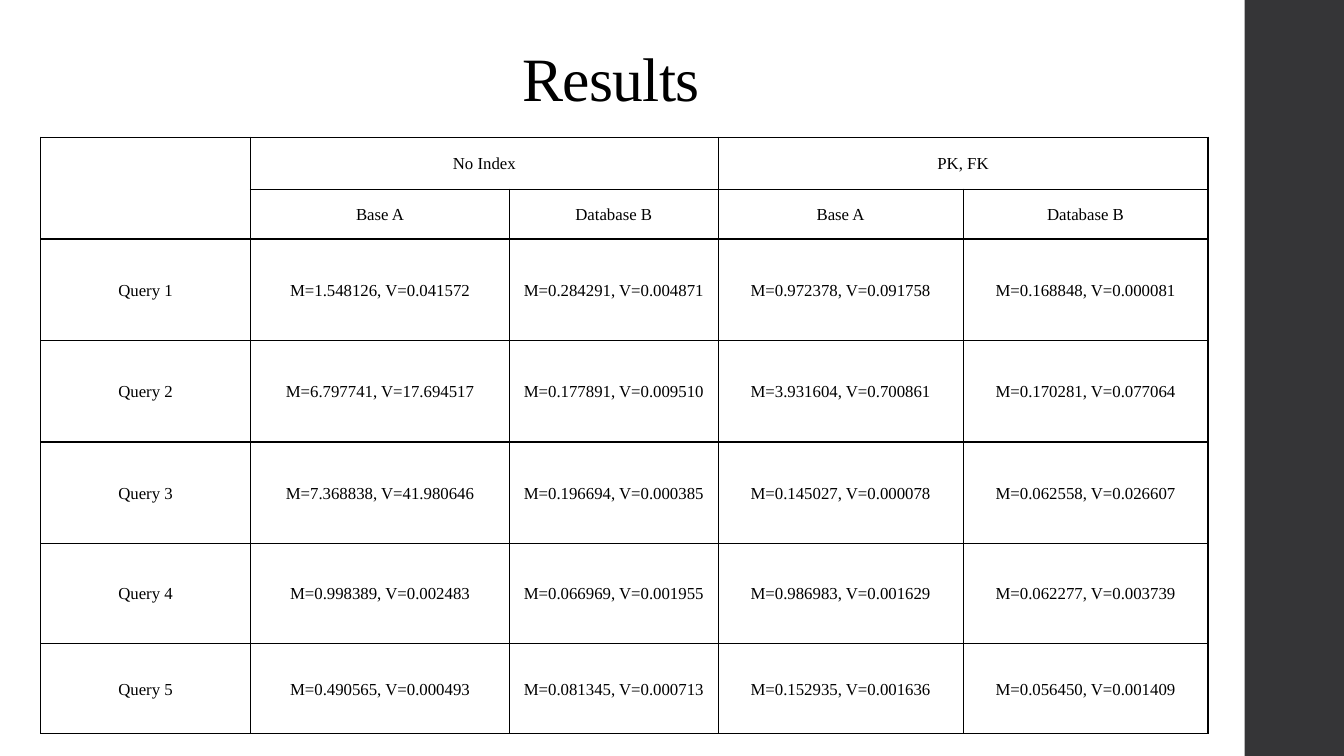
import pptx
import pptx.util
import pptx.dml.color
import pptx.enum.shapes
import pptx.enum.text
import pptx.oxml
import pptx.oxml.ns

Pt = pptx.util.Pt
RGBColor = pptx.dml.color.RGBColor
CENTER = pptx.enum.text.PP_ALIGN.CENTER
MIDDLE = pptx.enum.text.MSO_ANCHOR.MIDDLE

BLACK = RGBColor(0x00, 0x00, 0x00)
WHITE = RGBColor(0xFF, 0xFF, 0xFF)
DARK = RGBColor(0x35, 0x35, 0x37)
FONT = "Times New Roman"

WIDTHS = [150, 185, 149, 175, 175]
HEIGHTS = [37.2, 35.6, 72.5, 72.5, 72.5, 71.6, 64.4]
ROWS = [
    ["", "No Index", "", "PK, FK", ""],
    ["", "Base A", "Database B", "Base A", "Database B"],
    ["Query 1", "M=1.548126, V=0.041572", "M=0.284291, V=0.004871",
     "M=0.972378, V=0.091758", "M=0.168848, V=0.000081"],
    ["Query 2", "M=6.797741, V=17.694517", "M=0.177891, V=0.009510",
     "M=3.931604, V=0.700861", "M=0.170281, V=0.077064"],
    ["Query 3", "M=7.368838, V=41.980646", "M=0.196694, V=0.000385",
     "M=0.145027, V=0.000078", "M=0.062558, V=0.026607"],
    ["Query 4", "M=0.998389, V=0.002483", "M=0.066969, V=0.001955",
     "M=0.986983, V=0.001629", "M=0.062277, V=0.003739"],
    ["Query 5", "M=0.490565, V=0.000493", "M=0.081345, V=0.000713",
     "M=0.152935, V=0.001636", "M=0.056450, V=0.001409"],
]


def style(frame, size, spacing):
    """Centre the first paragraph and set its font."""
    para = frame.paragraphs[0]
    para.alignment = CENTER
    para.line_spacing = spacing
    for run in para.runs:
        run.font.name = FONT
        run.font.size = Pt(size)
        run.font.color.rgb = BLACK


def border(cell):
    """Draw a one-point black line on all four sides."""
    props = cell._tc.get_or_add_tcPr()
    for side in ("lnL", "lnR", "lnT", "lnB"):
        props.append(pptx.oxml.parse_xml(
            f'<a:{side} {pptx.oxml.ns.nsdecls("a")} w="{Pt(1)}">'
            f'<a:solidFill><a:srgbClr val="{BLACK}"/></a:solidFill>'
            f'</a:{side}>'))


deck = pptx.Presentation()
deck.slide_width = Pt(960)
deck.slide_height = Pt(540)
slide = deck.slides.add_slide(deck.slide_layouts[6])
slide.background.fill.solid()
slide.background.fill.fore_color.rgb = WHITE

# Side band
band = slide.shapes.add_shape(
    pptx.enum.shapes.MSO_SHAPE.RECTANGLE, Pt(889), Pt(0), Pt(71), Pt(540))
band.shadow.inherit = False
band.fill.solid()
band.fill.fore_color.rgb = DARK
band.line.fill.background()

# Title
title = slide.shapes.add_textbox(Pt(165), Pt(19), Pt(543), Pt(79))
frame = title.text_frame
frame.word_wrap = True
frame.vertical_anchor = MIDDLE
frame.text = "Results"
style(frame, 44, 0.9)
frame.paragraphs[0].runs[0].font._element.set("spc", "-50")

# Results table
table = slide.shapes.add_table(
    len(ROWS), len(WIDTHS), Pt(29), Pt(98),
    Pt(sum(WIDTHS)), Pt(sum(HEIGHTS))).table
table.first_row = False
table.horz_banding = False
for column, width in zip(table.columns, WIDTHS):
    column.width = Pt(width)
for row, height, texts in zip(table.rows, HEIGHTS, ROWS):
    row.height = Pt(height)
    for cell, text in zip(row.cells, texts):
        border(cell)
        cell.fill.background()
        cell.vertical_anchor = MIDDLE
        cell.margin_left = cell.margin_right = Pt(5)
        cell.margin_top = cell.margin_bottom = Pt(0)
        if text:
            cell.text_frame.text = text
            style(cell.text_frame, 12, 1.07)

table.cell(0, 0).merge(table.cell(1, 0))
for left in (1, 3):
    table.cell(0, left).merge(table.cell(0, left + 1))

deck.save("out.pptx")
